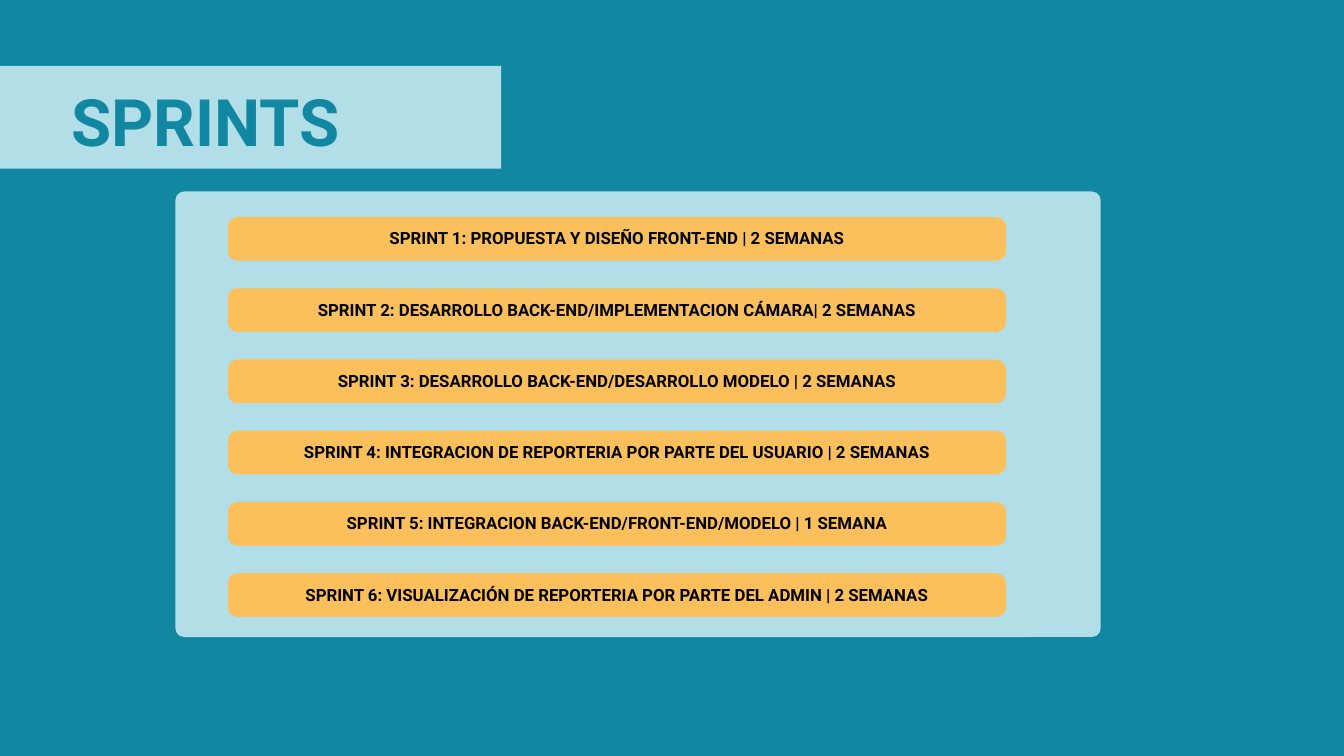
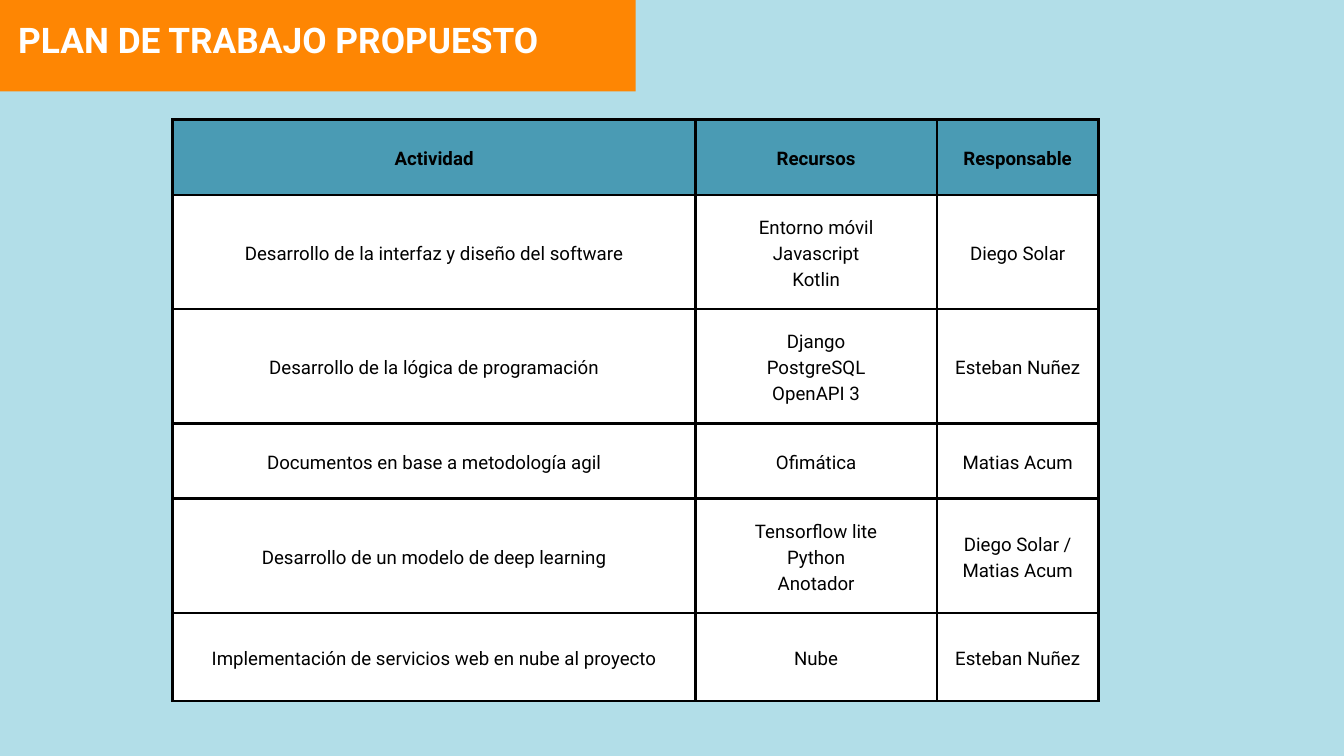
"""Build the sprint list and work plan slides."""
from lxml.etree import SubElement
from pptx import Presentation
from pptx.dml.color import RGBColor
from pptx.enum.shapes import MSO_SHAPE
from pptx.enum.text import MSO_ANCHOR, PP_ALIGN
from pptx.oxml.ns import qn
from pptx.util import Inches, Pt

GRID_COLUMNS, GRID_ROWS = 20, 11.25
CELL = Inches(1)
FONT = "Roboto"
TEAL = RGBColor(0x11, 0x87, 0xA1)
PALE_BLUE = RGBColor(0xB2, 0xDE, 0xE8)
HEADER_BLUE = RGBColor(0x4A, 0x9B, 0xB4)
AMBER = RGBColor(0xFB, 0xC0, 0x5C)
ORANGE = RGBColor(0xFE, 0x86, 0x03)
WHITE = RGBColor(0xFF, 0xFF, 0xFF)
BLACK = RGBColor(0, 0, 0)

SPRINT_STYLE = {"size": Pt(18), "bold": True}
HEADER_STYLE = {"size": Pt(20), "bold": True}
BODY_STYLE = {"size": Pt(20), "bold": False}

SPRINTS = [
    "SPRINT 1: PROPUESTA Y DISEÑO FRONT-END | 2 SEMANAS",
    "SPRINT 2: DESARROLLO BACK-END/IMPLEMENTACION CÁMARA| 2 SEMANAS",
    "SPRINT 3: DESARROLLO BACK-END/DESARROLLO MODELO | 2 SEMANAS",
    "SPRINT 4: INTEGRACION DE REPORTERIA POR PARTE DEL USUARIO | 2 SEMANAS",
    "SPRINT 5: INTEGRACION BACK-END/FRONT-END/MODELO | 1 SEMANA",
    "SPRINT 6: VISUALIZACIÓN DE REPORTERIA POR PARTE DEL ADMIN | 2 SEMANAS",
]
PLAN = [
    ("Actividad", "Recursos", "Responsable"),
    ("Desarrollo de la interfaz y diseño del software",
     "Entorno móvil\nJavascript\nKotlin", "Diego Solar"),
    ("Desarrollo de la lógica de programación",
     "Django\nPostgreSQL\nOpenAPI 3", "Esteban Nuñez"),
    ("Documentos en base a metodología agil", "Ofimática", "Matias Acum"),
    ("Desarrollo de un modelo de deep learning",
     "Tensorflow lite\nPython\nAnotador", "Diego Solar / Matias Acum"),
    ("Implementación de servicios web en nube al proyecto", "Nube",
     "Esteban Nuñez"),
]
PLAN_WIDTHS = [7.78, 3.59, 2.41]
PLAN_HEIGHTS = [1.12, 1.7, 1.7, 1.12, 1.7, 1.31]


def span_grid(*lengths):
    """Turn grid columns and rows into slide lengths."""
    return [round(length * CELL) for length in lengths]


def set_values(target, values):
    """Set each named attribute of the target."""
    for name, value in values.items():
        setattr(target, name, value)


def write_text(frame, text, style, spacing, color=BLACK,
               alignment=PP_ALIGN.CENTER):
    """Write one formatted paragraph for each line of text."""
    for index, line in enumerate(text.split("\n")):
        para = frame.add_paragraph() if index else frame.paragraphs[0]
        set_values(para, {"alignment": alignment, "line_spacing": Pt(spacing)})
        span = para.add_run()
        span.text = line
        set_values(span.font, {"name": FONT, **style})
        span.font.color.rgb = color


def set_margins(target, margin):
    """Give a text frame or table cell equal margins."""
    sides = ("left", "top", "right", "bottom")
    set_values(target, {f"margin_{side}": Inches(margin) for side in sides})


def add_page(deck, color):
    """Add a blank page with a plain background."""
    page = deck.slides.add_slide(deck.slide_layouts[6])
    page.background.fill.solid()
    page.background.fill.fore_color.rgb = color
    return page


def add_block(page, area, color, radius=0):
    """Add a flat rectangle, rounded by a radius in grid units."""
    kind = MSO_SHAPE.ROUNDED_RECTANGLE if radius else MSO_SHAPE.RECTANGLE
    block = page.shapes.add_shape(kind, *span_grid(*area))
    if radius:
        block.adjustments[0] = radius / min(area[2:])
    block.shadow.inherit = False
    block.fill.solid()
    block.fill.fore_color.rgb = color
    block.line.fill.background()
    return block


def add_title_band(page, band, band_color, area, text, size, color):
    """Add a band from the left edge with the page title on it."""
    add_block(page, band, band_color)
    box = page.shapes.add_textbox(*span_grid(*area))
    box.text_frame.word_wrap = True
    set_margins(box.text_frame, 0)
    write_text(box.text_frame, text, {"size": Pt(size), "bold": True},
               size * 1.4, color, PP_ALIGN.LEFT)


def add_sprint_bars(page, left, top, width, height, pitch):
    """Stack one rounded bar for each sprint at an equal pitch."""
    for index, sprint in enumerate(SPRINTS):
        area = (left, top + index * pitch, width, height)
        frame = add_block(page, area, AMBER, 0.15).text_frame
        set_values(frame, {"word_wrap": True,
                           "vertical_anchor": MSO_ANCHOR.MIDDLE})
        set_margins(frame, 0.06)
        write_text(frame, sprint, SPRINT_STYLE, 20.3)


def add_borders(cell, width, color):
    """Draw a solid line on all four sides of a cell."""
    properties = cell._tc.get_or_add_tcPr()
    for side in ("lnL", "lnR", "lnT", "lnB"):
        line = SubElement(properties, qn(f"a:{side}"), w=str(Pt(width)))
        fill = SubElement(line, qn("a:solidFill"))
        SubElement(fill, qn("a:srgbClr"), val=str(color))


def add_plan_table(page, left, top):
    """Add the work plan with a header row and bordered cells."""
    area = span_grid(left, top, sum(PLAN_WIDTHS), sum(PLAN_HEIGHTS))
    table = page.shapes.add_table(len(PLAN), len(PLAN_WIDTHS), *area).table
    set_values(table, {"first_row": False, "horz_banding": False})
    for column, width in zip(table.columns, span_grid(*PLAN_WIDTHS)):
        column.width = width
    for row, height in zip(table.rows, span_grid(*PLAN_HEIGHTS)):
        row.height = height
    for row_index, texts in enumerate(PLAN):
        for column_index, text in enumerate(texts):
            cell = table.cell(row_index, column_index)
            set_margins(cell, 0.21)
            cell.vertical_anchor = MSO_ANCHOR.MIDDLE
            add_borders(cell, 3, BLACK)
            cell.fill.solid()
            cell.fill.fore_color.rgb = WHITE if row_index else HEADER_BLUE
            style = BODY_STYLE if row_index else HEADER_STYLE
            write_text(cell.text_frame, text, style, 28)


def main():
    """Build both pages and save the deck."""
    deck = Presentation()
    deck.slide_width, deck.slide_height = span_grid(GRID_COLUMNS, GRID_ROWS)

    sprints = add_page(deck, TEAL)
    add_title_band(sprints, (0, 0.98, 7.46, 1.53), PALE_BLUE,
                   (1.06, 1.01, 4.65, 1.32), "SPRINTS", 70, TEAL)
    add_block(sprints, (2.61, 2.85, 13.77, 6.63), PALE_BLUE, 0.13)
    add_sprint_bars(sprints, 3.39, 3.23, 11.58, 0.65, 1.06)

    plan = add_page(deck, PALE_BLUE)
    add_plan_table(plan, 2.57, 1.78)
    add_title_band(plan, (0, 0, 9.46, 1.36), ORANGE,
                   (0.27, 0.17, 9.73, 0.71), "PLAN DE TRABAJO PROPUESTO",
                   37.8, WHITE)

    deck.save("out.pptx")


if __name__ == "__main__":
    main()
